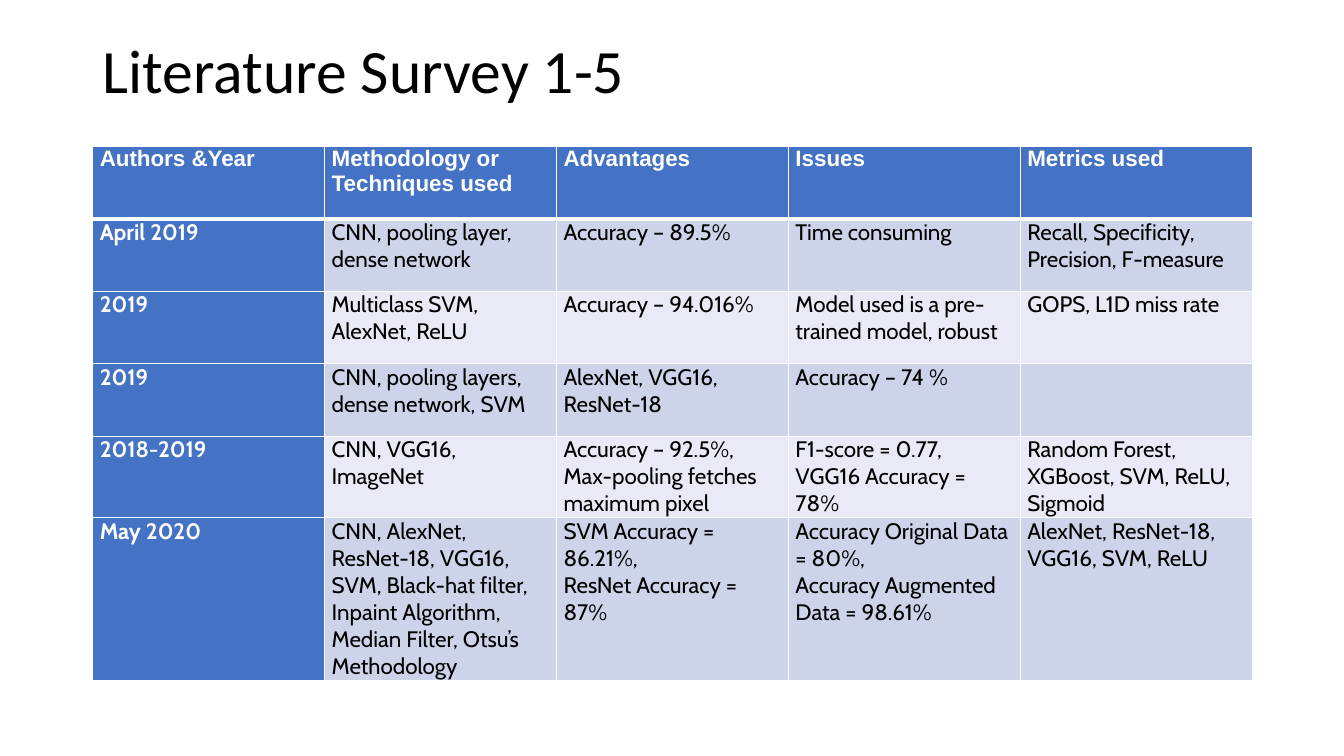
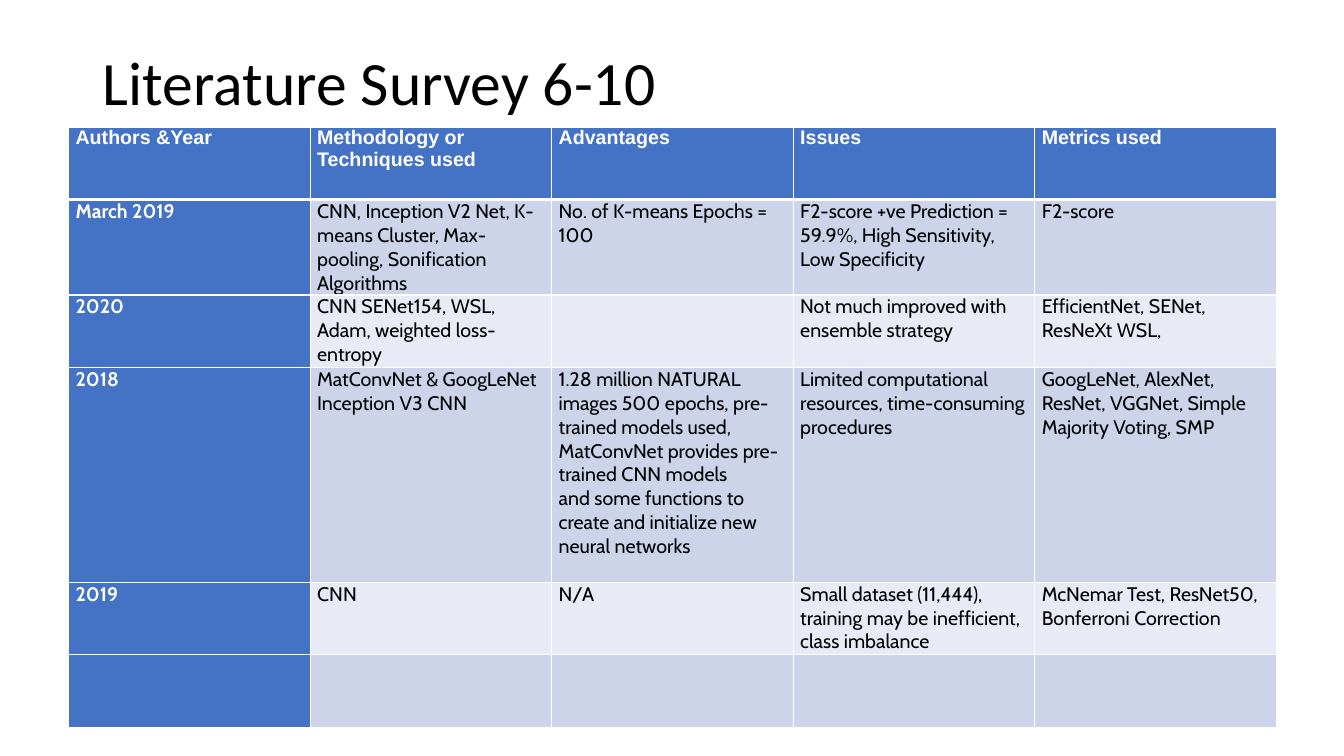
import pptx
import pptx.util
import pptx.dml.color
import pptx.enum.text
import pptx.oxml
import pptx.oxml.ns

Inches = pptx.util.Inches
Pt = pptx.util.Pt

# Shared look
COLORS = {"head": "4472C4", "odd": "CDD4EA", "even": "E8EBF5",
          "light": "FFFFFF", "dark": "000000"}
TITLE = {"name": "Calibri", "size": Pt(44), "bold": False}
FRAME = {"vertical_anchor": pptx.enum.text.MSO_ANCHOR.MIDDLE,
         "auto_size": pptx.enum.text.MSO_AUTO_SIZE.NONE, "word_wrap": True}
CELL = {"margin_left": Inches(0.07), "margin_right": Inches(0.07),
        "margin_top": 0, "margin_bottom": 0}
HEADS = ["Authors &Year", "Methodology or Techniques used", "Advantages",
         "Issues", "Metrics used"]

# Slide content
PAGES = [
    {"title": "Literature Survey 1-5", "top": 0, "size": 16,
     "box": (0.92, 1.45, 11.5), "high": [0.72, 0.72, 0.72, 0.72, 0.8, 1.62],
     "rows": [
         ["April 2019", "CNN, pooling layer, dense network",
          "Accuracy – 89.5%", "Time consuming",
          "Recall, Specificity, Precision, F-measure"],
         ["2019", "Multiclass SVM, AlexNet, ReLU", "Accuracy – 94.016%",
          "Model used is a pre-trained model, robust", "GOPS, L1D miss rate"],
         ["2019", "CNN, pooling layers, dense network, SVM",
          "AlexNet, VGG16, ResNet-18", "Accuracy – 74 %", ""],
         ["2018-2019", "CNN, VGG16, ImageNet",
          "Accuracy – 92.5%, Max-pooling fetches maximum pixel",
          "F1-score = 0.77,\nVGG16 Accuracy = 78%",
          "Random Forest, XGBoost, SVM, ReLU, Sigmoid"],
         ["May 2020",
          "CNN, AlexNet, ResNet-18, VGG16, SVM, Black-hat filter, "
          "Inpaint Algorithm, Median Filter, Otsu’s Methodology",
          "SVM Accuracy = 86.21%,\nResNet Accuracy = 87%",
          "Accuracy Original Data = 80%,\nAccuracy Augmented Data = 98.61%",
          "AlexNet, ResNet-18, VGG16, SVM, ReLU"],
     ]},
    {"title": "Literature Survey 6-10", "top": 0.12, "size": 14,
     "box": (0.68, 1.26, 11.98), "high": [0.72, 0.94, 0.72, 2.13, 0.72, 0.72],
     "rows": [
         ["March 2019",
          "CNN, Inception V2 Net, K-means Cluster, Max-pooling, "
          "Sonification Algorithms",
          "No. of K-means Epochs = 100",
          "F2-score +ve Prediction = 59.9%, High Sensitivity, Low Specificity",
          "F2-score"],
         ["2020", "CNN SENet154, WSL, Adam, weighted loss-entropy", "",
          "Not much improved with ensemble strategy",
          "EfficientNet, SENet, ResNeXt WSL,"],
         ["2018", "MatConvNet & GoogLeNet Inception V3 CNN",
          "1.28 million NATURAL images 500 epochs, pre-trained models used, "
          "MatConvNet provides pre-trained CNN models\n"
          "and some functions to create and initialize new neural networks",
          "Limited computational resources, time-consuming procedures",
          "GoogLeNet, AlexNet, ResNet, VGGNet, Simple Majority Voting, SMP"],
         ["2019", "CNN", "N/A",
          "Small dataset (11,444), training may be inefficient, "
          "class imbalance",
          "McNemar Test, ResNet50, Bonferroni Correction"],
         [""] * 5,
     ]},
]


def style(text, font, color):
    """Give every paragraph's font the format values and a colour."""
    for para in text.paragraphs:
        for key, value in font.items():
            setattr(para.font, key, value)
        para.font.color.rgb = pptx.dml.color.RGBColor.from_string(COLORS[color])


def edge(cell, row):
    """Draw white borders, thick between the header and the first row."""
    thick = {0: "B", 1: "T"}.get(row)
    for side in "LRTB":
        width = Pt(3 if side == thick else 1)
        cell._tc.get_or_add_tcPr().append(pptx.oxml.parse_xml(
            f'<a:ln{side} {pptx.oxml.ns.nsdecls("a")} w="{width}">'
            f'<a:solidFill><a:srgbClr val="{COLORS["light"]}"/></a:solidFill>'
            f'</a:ln{side}>'))


deck = pptx.Presentation()
deck.slide_width = Inches(13.33)
deck.slide_height = Inches(7.5)

for page in PAGES:
    slide = deck.slides.add_slide(deck.slide_layouts[5])

    # Title
    title = slide.shapes.title
    title.left, title.top = Inches(0.92), Inches(page["top"])
    title.width, title.height = Inches(11.5), Inches(1.45)
    title.text = page["title"]
    for key, value in FRAME.items():
        setattr(title.text_frame, key, value)
    para = title.text_frame.paragraphs[0]
    para.alignment = pptx.enum.text.PP_ALIGN.LEFT
    para.line_spacing = 0.9
    style(title.text_frame, TITLE, "dark")

    # Table
    rows = [HEADS] + page["rows"]
    left, top, width = page["box"]
    grid = slide.shapes.add_table(
        len(rows), len(HEADS), Inches(left), Inches(top), Inches(width),
        Inches(sum(page["high"]))).table
    grid.first_col = True
    for r, (texts, high) in enumerate(zip(rows, page["high"])):
        grid.rows[r].height = Inches(high)
        for c, text in enumerate(texts):
            cell = grid.cell(r, c)
            cell.text = text
            for key, value in CELL.items():
                setattr(cell, key, value)
            bold = r == 0 or c == 0
            font = {"name": "Cabin" if r else "Arial",
                    "size": Pt(page["size"]), "bold": bold}
            style(cell.text_frame, font, "light" if bold else "dark")
            edge(cell, r)
            fill = "head" if bold else "odd" if r % 2 else "even"
            cell.fill.solid()
            cell.fill.fore_color.rgb = pptx.dml.color.RGBColor.from_string(
                COLORS[fill])

deck.save("out.pptx")
